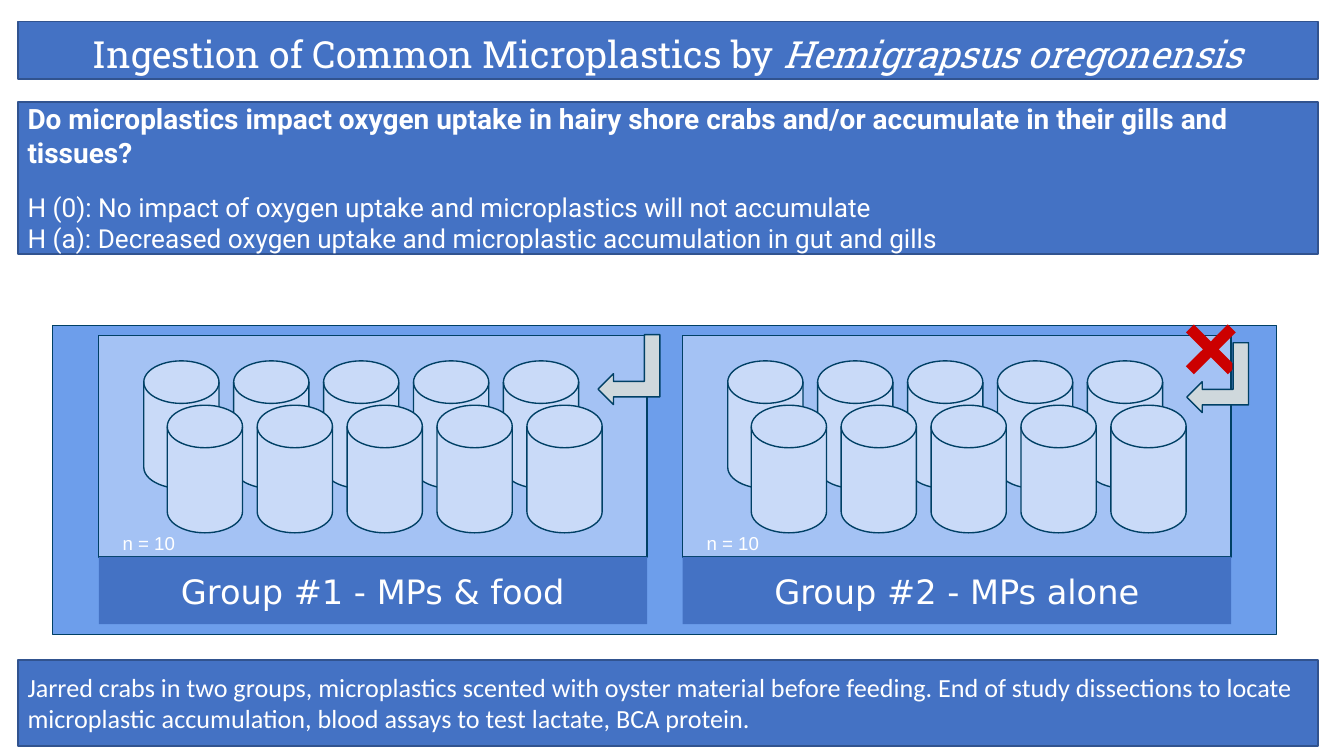
"""Build a slide on a microplastics experiment with two groups of jarred crabs."""
from collections import namedtuple
from dataclasses import dataclass

from pptx import Presentation
from pptx.dml.color import RGBColor
from pptx.enum.shapes import MSO_SHAPE
from pptx.enum.text import MSO_ANCHOR, MSO_AUTO_SIZE, PP_ALIGN
from pptx.util import Inches, Pt

RECTANGLE = MSO_SHAPE.RECTANGLE
JAR = MSO_SHAPE.FLOWCHART_MAGNETIC_DISK
CROSS = MSO_SHAPE.MATH_MULTIPLY
BENT_ARROW = MSO_SHAPE.BENT_UP_ARROW
TOP, MIDDLE = MSO_ANCHOR.TOP, MSO_ANCHOR.MIDDLE
LEFT, CENTER = PP_ALIGN.LEFT, PP_ALIGN.CENTER
NO_FIT = MSO_AUTO_SIZE.NONE

COLUMNS, ROWS = 100, 56.25
UNIT = Inches(10) / COLUMNS

Box = namedtuple("Box", "left top width height")


@dataclass(frozen=True)
class Theme:
    """Hold the colours and text formats of the slide."""
    band: str = "4472C4"
    band_edge: str = "31538F"
    tray: str = "6D9EEB"
    panel: str = "A4C2F4"
    jar: str = "C9DAF8"
    edge: str = "004065"
    arrow: str = "CFD8DC"
    cross: str = "CC0000"
    text: str = "FFFFFF"
    title = {"name": "Roboto Slab", "size": Pt(20)}
    question = {"name": "Roboto", "size": Pt(15), "bold": True}
    hypothesis = {"name": "Roboto", "size": Pt(14)}
    method = {"name": "Calibri", "size": Pt(14)}
    label = {"name": "DejaVu Sans", "size": Pt(18)}
    count = {"name": "Arial", "size": Pt(10)}


THEME = Theme()

TITLE = [({"line_spacing": 1.15, "alignment": CENTER}, [
    ("Ingestion of Common Microplastics by ", THEME.title),
    ("Hemigrapsus oregonensis", {**THEME.title, "italic": True})])]
QUESTION = [
    ({}, [("Do microplastics impact oxygen uptake in hairy shore crabs and/or "
           "accumulate in their gills and tissues?", THEME.question)]),
    ({"space_before": Pt(12)}, [
        ("H (0): No impact of oxygen uptake and microplastics will not accumulate",
         THEME.hypothesis)]),
    ({}, [("H (a): Decreased oxygen uptake and microplastic accumulation in gut and gills",
           THEME.hypothesis)])]
METHOD = [({}, [
    ("Jarred crabs in two groups, microplastics scented with oyster material before "
     "feeding. End of study dissections to locate microplastic accumulation, blood "
     "assays to test lactate, BCA protein.", THEME.method)])]
GROUPS = ["Group #1 - MPs & food", "Group #2 - MPs alone"]


def within(box, left, top, width, height):
    """Return a box whose corner is offset from the corner of another box."""
    return Box(box.left + left, box.top + top, width, height)


def to_lengths(box):
    """Turn grid units into slide lengths."""
    return [round(value * UNIT) for value in box]


def apply_format(target, values):
    """Set every attribute named in a dict of format values."""
    for name, value in values.items():
        setattr(target, name, value)


def add_text(shape, paragraphs, side, edge, anchor):
    """Write formatted paragraphs into a shape with the given margins in grid units."""
    frame = shape.text_frame
    apply_format(frame, {
        "word_wrap": True, "auto_size": NO_FIT, "vertical_anchor": anchor,
        "margin_left": round(side * UNIT), "margin_right": round(side * UNIT),
        "margin_top": round(edge * UNIT), "margin_bottom": round(edge * UNIT)})
    for index, (layout, spans) in enumerate(paragraphs):
        para = frame.add_paragraph() if index else frame.paragraphs[0]
        apply_format(para, {"alignment": LEFT, **layout})
        for text, style in spans:
            span = para.add_run()
            span.text = text
            apply_format(span.font, style)
            span.font.color.rgb = RGBColor.from_string(THEME.text)


def add_figure(shapes, kind, box, fill, edge=None, weight=0.75):
    """Add a filled preset shape, outlined when an edge colour is given."""
    shape = shapes.add_shape(kind, *to_lengths(box))
    shape.shadow.inherit = False
    shape.fill.solid()
    shape.fill.fore_color.rgb = RGBColor.from_string(fill)
    if edge:
        shape.line.color.rgb = RGBColor.from_string(edge)
        shape.line.width = Pt(weight)
    else:
        shape.line.fill.background()
    return shape


def add_band(shapes, box, paragraphs):
    """Add a full-width band of text."""
    band = add_figure(shapes, RECTANGLE, box, THEME.band, THEME.band_edge, 1)
    add_text(band, paragraphs, 0.7, 0.4, MIDDLE)


def add_jars(shapes, box):
    """Add two staggered rows of five jars."""
    for left, top in ((0, 0), (1.75, 3.3)):
        for column in range(5):
            jar = within(box, left + column * 6.69, top, 5.6, 9.5)
            add_figure(shapes, JAR, jar, THEME.jar, THEME.edge)


def add_panel(shapes, box, name):
    """Add one experiment group with its jars, label and count."""
    add_figure(shapes, RECTANGLE, box, THEME.panel, THEME.edge)
    add_jars(shapes, within(box, 3.35, 1.9, box.width, box.height))
    label = add_figure(shapes, RECTANGLE, within(box, 0, box.height, box.width, 5), THEME.band)
    add_text(label, [({"alignment": CENTER}, [(name, THEME.label)])], 1, 1, TOP)
    count = shapes.add_textbox(*to_lengths(within(box, 0.8, 13.6, 17.6, 2.4)))
    add_text(count, [({}, [("n = 10", THEME.count)])], 1, 1, TOP)


def add_feeding_arrow(shapes, box):
    """Add a bent arrow that comes down and points left."""
    arrow = add_figure(shapes, BENT_ARROW, box, THEME.arrow, THEME.edge)
    arrow.rotation = 270
    arrow.element.spPr.xfrm.set("flipH", "1")


def add_experiment(shapes, box):
    """Add the tray with both groups and their feeding marks."""
    tray = shapes.add_group_shape().shapes
    add_figure(tray, RECTANGLE, box, THEME.tray, THEME.edge)
    panels = [within(box, 3.45 + index * 43.45, 0.75, 40.8, 16.5)
              for index in range(len(GROUPS))]
    for panel, name in zip(panels, GROUPS):
        add_panel(tray, panel, name)
    fed, unfed = panels
    cross = add_figure(shapes, CROSS, within(unfed, 36.3, -1.95, 6, 6), THEME.cross)
    cross.adjustments[0] = 0.14
    add_feeding_arrow(shapes, within(unfed, 37.2, 0.85, 5.2, 4.6))
    add_feeding_arrow(shapes, within(fed, 36.85, 0.25, 5.2, 4.6))


def main():
    """Build and save the deck."""
    deck = Presentation()
    deck.slide_width, deck.slide_height = round(COLUMNS * UNIT), round(ROWS * UNIT)
    page = deck.slides.add_slide(deck.slide_layouts[6])
    for top, height, paragraphs in ((1.6, 4.3, TITLE), (7.6, 11.3, QUESTION), (49.1, 6.4, METHOD)):
        add_band(page.shapes, Box(1.35, top, 96.7, height), paragraphs)
    add_experiment(page.shapes, Box(3.9, 24.2, 91.1, 23))
    deck.save("out.pptx")


if __name__ == "__main__":
    main()
